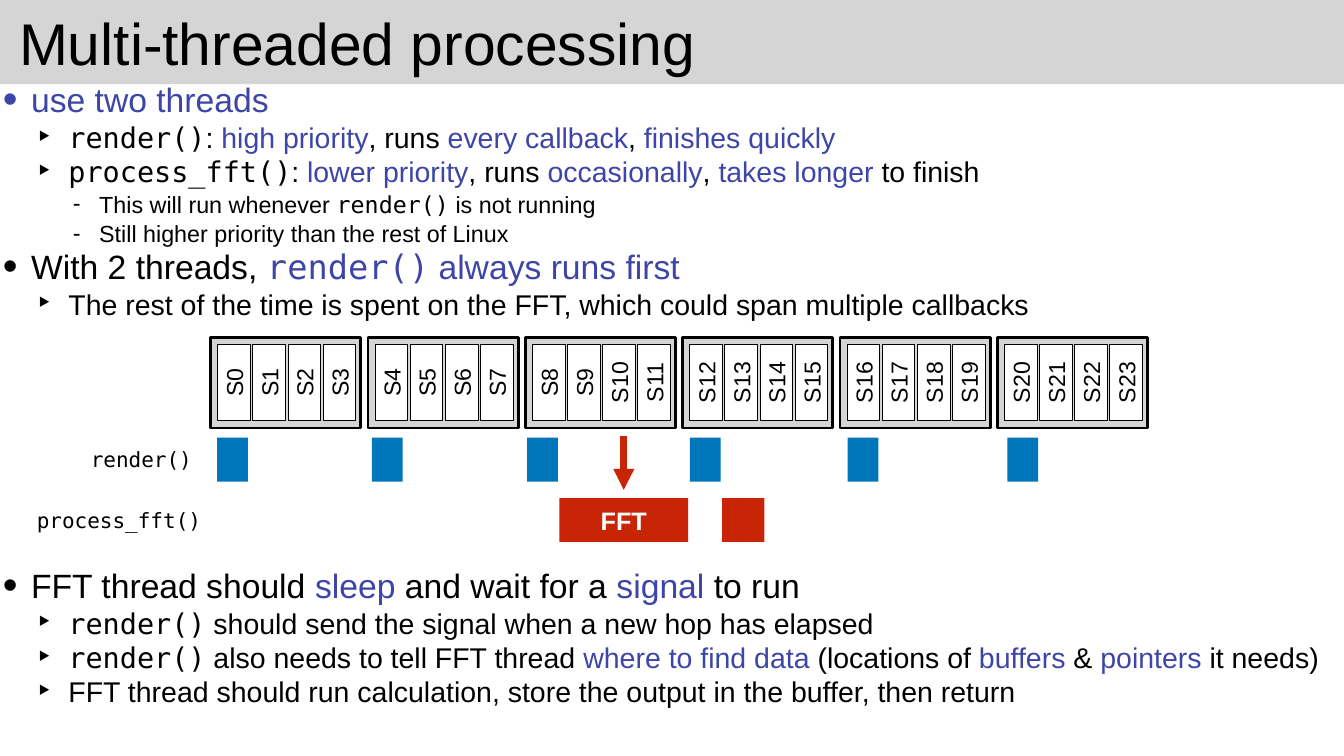
import pptx
import pptx.dml.color
import pptx.enum.shapes
import pptx.enum.text
import pptx.oxml
import pptx.oxml.ns
import pptx.util

Cm = pptx.util.Cm
Pt = pptx.util.Pt
RGBColor = pptx.dml.color.RGBColor
CENTER = pptx.enum.text.PP_ALIGN.CENTER
MIDDLE = pptx.enum.text.MSO_ANCHOR.MIDDLE
GROW = pptx.enum.text.MSO_AUTO_SIZE.SHAPE_TO_FIT_TEXT
FIXED = pptx.enum.text.MSO_AUTO_SIZE.NONE
RECTANGLE = pptx.enum.shapes.MSO_SHAPE.RECTANGLE

BLACK = RGBColor(0x00, 0x00, 0x00)
WHITE = RGBColor(0xFF, 0xFF, 0xFF)
GREY = RGBColor(0xD5, 0xD5, 0xD5)
INDIGO = RGBColor(0x3D, 0x46, 0xA6)
BLUE = RGBColor(0x00, 0x76, 0xBA)
RED = RGBColor(0xC8, 0x25, 0x06)

PLAIN = {"name": "Arial", "color": BLACK}
KEY = {"name": "Arial", "color": INDIGO}
CODE = {"name": "DejaVu Sans Mono", "color": BLACK}
KEY_CODE = {"name": "DejaVu Sans Mono", "color": INDIGO}

LEVELS = [
    {"size": 48.1, "margin": 1.42, "indent": -1.42, "bullet": "•", "percent": 125},
    {"size": 40.7, "margin": 3.3, "indent": -1.55, "bullet": "‣", "percent": 125},
    {"size": 33.3, "margin": 4.85, "indent": -1.32, "bullet": "-", "percent": 100},
]

THREADS = [
    (0, [("use two threads", KEY)]),
    (1, [("render()", CODE), (": ", PLAIN), ("high priority", KEY), (", runs ", PLAIN),
         ("every callback", KEY), (", ", PLAIN), ("finishes quickly", KEY)]),
    (1, [("process_fft()", CODE), (": ", PLAIN), ("lower priority", KEY), (", runs ", PLAIN),
         ("occasionally", KEY), (", ", PLAIN), ("takes longer", KEY), (" to finish", PLAIN)]),
    (2, [("This will run whenever ", PLAIN), ("render()", CODE), (" is not running", PLAIN)]),
    (2, [("Still higher priority than the rest of Linux", PLAIN)]),
    (0, [("With 2 threads, ", PLAIN), ("render()", KEY_CODE), (" always runs first", KEY)]),
    (1, [("The rest of the time is spent on the FFT, which could span multiple callbacks", PLAIN)]),
]

SIGNALS = [
    (0, [("FFT thread should ", PLAIN), ("sleep", KEY), (" and wait for a ", PLAIN),
         ("signal", KEY), (" to run", PLAIN)]),
    (1, [("render()", CODE), (" should send the signal when a new hop has elapsed", PLAIN)]),
    (1, [("render()", CODE), (" also needs to tell FFT thread ", PLAIN),
         ("where to find data", KEY), (" (locations of ", PLAIN), ("buffers ", KEY),
         ("& ", PLAIN), ("pointers", KEY), (" it needs)", PLAIN)]),
    (1, [("FFT thread should run calculation, store the output in the buffer, then return", PLAIN)]),
]


def add_run(paragraph, text, size, style, bold=False):
    run = paragraph.add_run()
    run.text = text
    formats = {"name": style["name"], "size": Pt(size), "bold": bold}
    for attribute, value in formats.items():
        setattr(run.font, attribute, value)
    run.font.color.rgb = style["color"]


def format_frame(frame, wrap=True, anchor=None):
    formats = {"word_wrap": wrap, "vertical_anchor": anchor,
               "auto_size": FIXED if wrap else GROW}
    for side in ("left", "top", "right", "bottom"):
        formats["margin_" + side] = Cm(0.15)
    for attribute, value in formats.items():
        setattr(frame, attribute, value)


def add_rectangle(shapes, left, top, width, height, fill, line_width=0):
    shape = shapes.add_shape(RECTANGLE, Cm(left), Cm(top), Cm(width), Cm(height))
    shape.shadow.inherit = False
    shape.fill.solid()
    shape.fill.fore_color.rgb = fill
    if line_width:
        shape.line.color.rgb = BLACK
        shape.line.width = Pt(line_width)
    else:
        shape.line.fill.background()
    return shape


def add_label(shapes, left, top, width, height, text, size, style, wrap=False, alignment=CENTER):
    label = shapes.add_textbox(Cm(left), Cm(top), Cm(width), Cm(height))
    format_frame(label.text_frame, wrap, MIDDLE)
    paragraph = label.text_frame.paragraphs[0]
    paragraph.alignment = alignment
    add_run(paragraph, text, size, style)
    return label


def add_bullet(paragraph, level):
    properties = paragraph._p.get_or_add_pPr()
    properties.set("marL", str(Cm(level["margin"])))
    properties.set("indent", str(Cm(level["indent"])))
    namespace = pptx.oxml.ns.nsdecls("a")
    for xml in (f'<a:buSzPct {namespace} val="{level["percent"] * 1000}"/>',
                f'<a:buFont {namespace} typeface="Arial"/>',
                f'<a:buChar {namespace} char="{level["bullet"]}"/>'):
        properties.append(pptx.oxml.parse_xml(xml))


def add_title(slide, left, top, width, height):
    add_rectangle(slide.shapes, left, top, width, height, GREY)
    add_label(slide.shapes, left + 0.81, top, width - 1.62, height,
              "Multi-threaded processing", 84, PLAIN, True, pptx.enum.text.PP_ALIGN.LEFT)


def add_outline(slide, left, top, width, height, items):
    box = slide.shapes.add_textbox(Cm(left), Cm(top), Cm(width), Cm(height))
    frame = box.text_frame
    format_frame(frame)
    for index, (depth, runs) in enumerate(items):
        paragraph = frame.add_paragraph() if index else frame.paragraphs[0]
        level = LEVELS[depth]
        add_bullet(paragraph, level)
        formats = {"level": depth, "line_spacing": 0.8, "space_before": Pt(10 if index else 0)}
        for attribute, value in formats.items():
            setattr(paragraph, attribute, value)
        for text, style in runs:
            add_run(paragraph, text, level["size"], style)


def add_sample_block(slide, left, top, first_sample):
    shapes = slide.shapes.add_group_shape().shapes
    add_rectangle(shapes, left, top, 7.57, 4.55, GREY, 4)
    for index in range(4):
        cell_left = left + 0.35 + 1.77 * index
        cell_top = top + 0.34
        add_rectangle(shapes, cell_left, cell_top, 1.65, 3.84, WHITE, 1)
        name = f"S{first_sample + index}"
        width = 1.73 if len(name) == 2 else 2.45
        label = add_label(shapes, cell_left + (1.65 - width) / 2, cell_top + 1.1,
                          width, 1.63, name, 33, PLAIN)
        label.rotation = 270


def add_render_row(slide, left, top):
    shapes = slide.shapes.add_group_shape().shapes
    for offset in (9.25, 17.05, 24.87, 33.07, 41.02, 49.07):
        add_rectangle(shapes, left + offset, top, 1.55, 2.21, BLUE)
    add_label(shapes, left + 2.72, top + 0.28, 5.41, 1.55, "render()", 30, CODE)


def add_fft_row(slide, left, top):
    shapes = slide.shapes.add_group_shape().shapes
    task = add_rectangle(shapes, left + 26.49, top, 6.5, 2.21, RED)
    format_frame(task.text_frame, True, MIDDLE)
    paragraph = task.text_frame.paragraphs[0]
    paragraph.alignment = CENTER
    add_run(paragraph, "FFT", 36, {"name": "Arial", "color": WHITE}, True)
    add_rectangle(shapes, left + 34.7, top, 2.13, 2.21, RED)
    arrow_left = Cm(left + 29.74)
    arrow = shapes.add_connector(pptx.enum.shapes.MSO_CONNECTOR.STRAIGHT,
                                 arrow_left, Cm(top - 3.15), arrow_left, Cm(top - 0.41))
    arrow.line.color.rgb = RED
    arrow.line.width = Pt(10)
    namespace = pptx.oxml.ns.nsdecls("a")
    arrow.line._get_or_add_ln().append(
        pptx.oxml.parse_xml(f'<a:tailEnd {namespace} type="triangle"/>'))
    arrow._element.spPr.append(pptx.oxml.parse_xml(f"<a:effectLst {namespace}/>"))
    add_label(shapes, left, top + 0.33, 8.59, 1.55, "process_fft()", 30, CODE)


def add_timeline(slide, left, top):
    for block in range(6):
        add_sample_block(slide, left + 8.92 + 7.93 * block, top, 4 * block)
    add_render_row(slide, left, top + 5.04)
    add_fft_row(slide, left, top + 8.08)


def main():
    presentation = pptx.Presentation()
    presentation.slide_width = Cm(67.74)
    presentation.slide_height = Cm(38.1)
    slide = presentation.slides.add_slide(presentation.slide_layouts[6])
    add_title(slide, 0, -0.05, 67.74, 4.29)
    add_outline(slide, 0, 4.24, 67.23, 12.2, THREADS)
    add_timeline(slide, 1.7, 17.02)
    add_outline(slide, 0, 28.73, 67.23, 8.36, SIGNALS)
    presentation.save("out.pptx")


if __name__ == "__main__":
    main()
